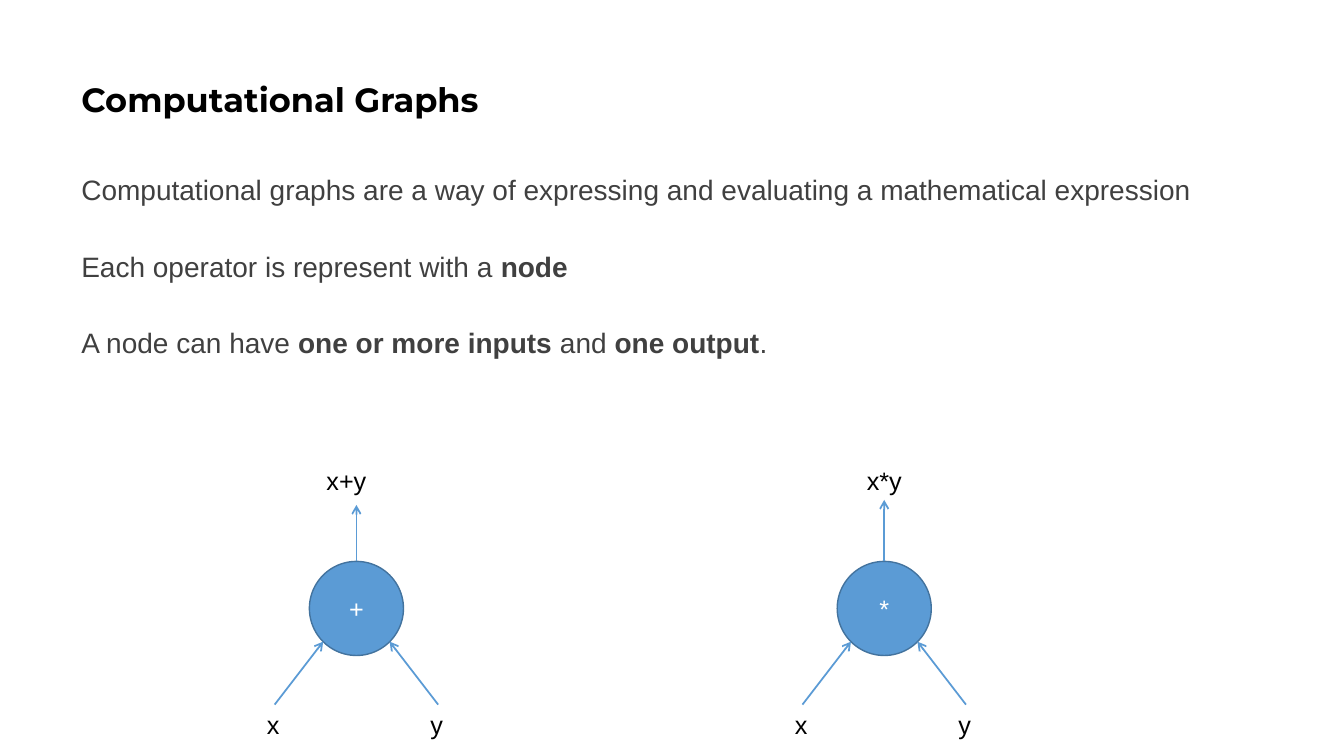
from dataclasses import dataclass
from math import sqrt

from lxml import etree
from pptx import Presentation
from pptx.dml.color import RGBColor
from pptx.enum.shapes import MSO_CONNECTOR, MSO_SHAPE
from pptx.enum.text import MSO_ANCHOR, PP_ALIGN
from pptx.oxml.ns import qn
from pptx.util import Pt

STRAIGHT = MSO_CONNECTOR.STRAIGHT
ELLIPSE = MSO_SHAPE.OVAL
TOP, MIDDLE = MSO_ANCHOR.TOP, MSO_ANCHOR.MIDDLE
LEFT, CENTER = PP_ALIGN.LEFT, PP_ALIGN.CENTER
TOP_SITE = 0


@dataclass(frozen=True)
class Theme:
    black: RGBColor = RGBColor(0x00, 0x00, 0x00)
    white: RGBColor = RGBColor(0xFF, 0xFF, 0xFF)
    body: RGBColor = RGBColor(0x40, 0x40, 0x40)
    node: RGBColor = RGBColor(0x5B, 0x9B, 0xD5)
    node_edge: RGBColor = RGBColor(0x43, 0x73, 0x9E)
    title_font: str = "Montserrat"
    text_font: str = "Arial"
    title_size: int = 24
    body_size: int = 20
    label_size: int = 18


THEME = Theme()

STATEMENTS = [
    [("Computational graphs are a way of expressing and evaluating "
      "a mathematical expression", False)],
    [("Each operator is represent with a ", False), ("node", True)],
    [("A node can have ", False), ("one or more inputs ", True),
     ("and ", False), ("one output", True), (".", False)],
]


def set_font(paragraph, name, size, color):
    font = paragraph.font
    font.name, font.size = name, Pt(size)
    font.color.rgb = color


def add_text_frame(slide, box, anchor=TOP, wrap=True):
    frame = slide.shapes.add_textbox(*(Pt(v) for v in box)).text_frame
    frame.word_wrap = wrap
    frame.vertical_anchor = anchor
    return frame


def add_title(slide, box, text):
    paragraph = add_text_frame(slide, box, MIDDLE).paragraphs[0]
    paragraph.text = text
    paragraph.line_spacing = 0.9
    set_font(paragraph, THEME.title_font, THEME.title_size, THEME.black)
    paragraph.font.bold = True


def add_statements(slide, box, statements):
    frame = add_text_frame(slide, box)
    for index, statement in enumerate(statements):
        paragraph = frame.add_paragraph() if index else frame.paragraphs[0]
        paragraph.line_spacing = 0.8
        paragraph.space_before = Pt(35.2 if index else 0)
        set_font(paragraph, THEME.text_font, THEME.body_size, THEME.body)
        for words, bold in statement:
            run = paragraph.add_run()
            run.text = words
            run.font.bold = bold


def add_label(slide, box, text, align=LEFT, wrap=True):
    paragraph = add_text_frame(slide, box, wrap=wrap).paragraphs[0]
    paragraph.text = text
    paragraph.alignment = align
    set_font(paragraph, THEME.text_font, THEME.label_size, THEME.black)


def add_arrow(slide, start, end):
    arrow = slide.shapes.add_connector(
        STRAIGHT, *(Pt(v) for v in (*start, *end)))
    arrow.line.color.rgb = THEME.node
    arrow.line.width = Pt(1.25)
    etree.SubElement(arrow.line._get_or_add_ln(), qn("a:tailEnd"), type="arrow")
    etree.SubElement(arrow._element.spPr, qn("a:effectLst"))
    return arrow


def add_operator(slide, box, symbol):
    operator = slide.shapes.add_shape(ELLIPSE, *(Pt(v) for v in box))
    operator.shadow.inherit = False
    operator.fill.solid()
    operator.fill.fore_color.rgb = THEME.node
    operator.line.color.rgb = THEME.node_edge
    operator.line.width = Pt(1)
    operator.text_frame.vertical_anchor = MIDDLE
    paragraph = operator.text_frame.paragraphs[0]
    paragraph.text = symbol
    paragraph.alignment = CENTER
    set_font(paragraph, THEME.text_font, THEME.label_size, THEME.white)
    return operator


def add_graph(slide, box, symbol, output_length, output_align):
    """Draw one operator node with inputs x and y below and its output above."""
    left, top, width, height = box
    center = left + width / 2
    radius = 33.6
    node_top = top + 72.2
    node_middle = node_top + radius
    label_height, input_width, output_width = 29, 25.2, 57
    input_top = top + height - label_height

    operator = add_operator(
        slide, (center - radius, node_top, 2 * radius, 2 * radius), symbol)
    diagonal = radius / sqrt(2)
    for side, name in ((-1, "x"), (1, "y")):
        input_x = center + side * (width - input_width) / 2
        add_label(slide, (input_x - input_width / 2, input_top,
                          input_width, label_height), name, wrap=False)
        add_arrow(slide, (input_x, input_top),
                  (center + side * diagonal, node_middle + diagonal))

    output = add_arrow(slide, (center, node_top),
                       (center, node_top - output_length))
    output.begin_connect(operator, TOP_SITE)
    add_label(slide, (center - output_width / 2, top, output_width,
                      label_height), f"x{symbol}y", output_align)


def main():
    presentation = Presentation()
    presentation.slide_width, presentation.slide_height = Pt(960), Pt(540)
    slide = presentation.slides.add_slide(presentation.slide_layouts[6])

    add_title(slide, (51, 20.2, 828, 104.4), "Computational Graphs")
    add_statements(slide, (51, 124.6, 828, 204.4), STATEMENTS)

    graphs = [("+", 40.3, LEFT), ("*", 43.9, CENTER)]
    for index, (symbol, output_length, align) in enumerate(graphs):
        add_graph(slide, (183.6 + index * 377, 328.8, 142, 203.5),
                  symbol, output_length, align)

    presentation.save("out.pptx")


if __name__ == "__main__":
    main()
